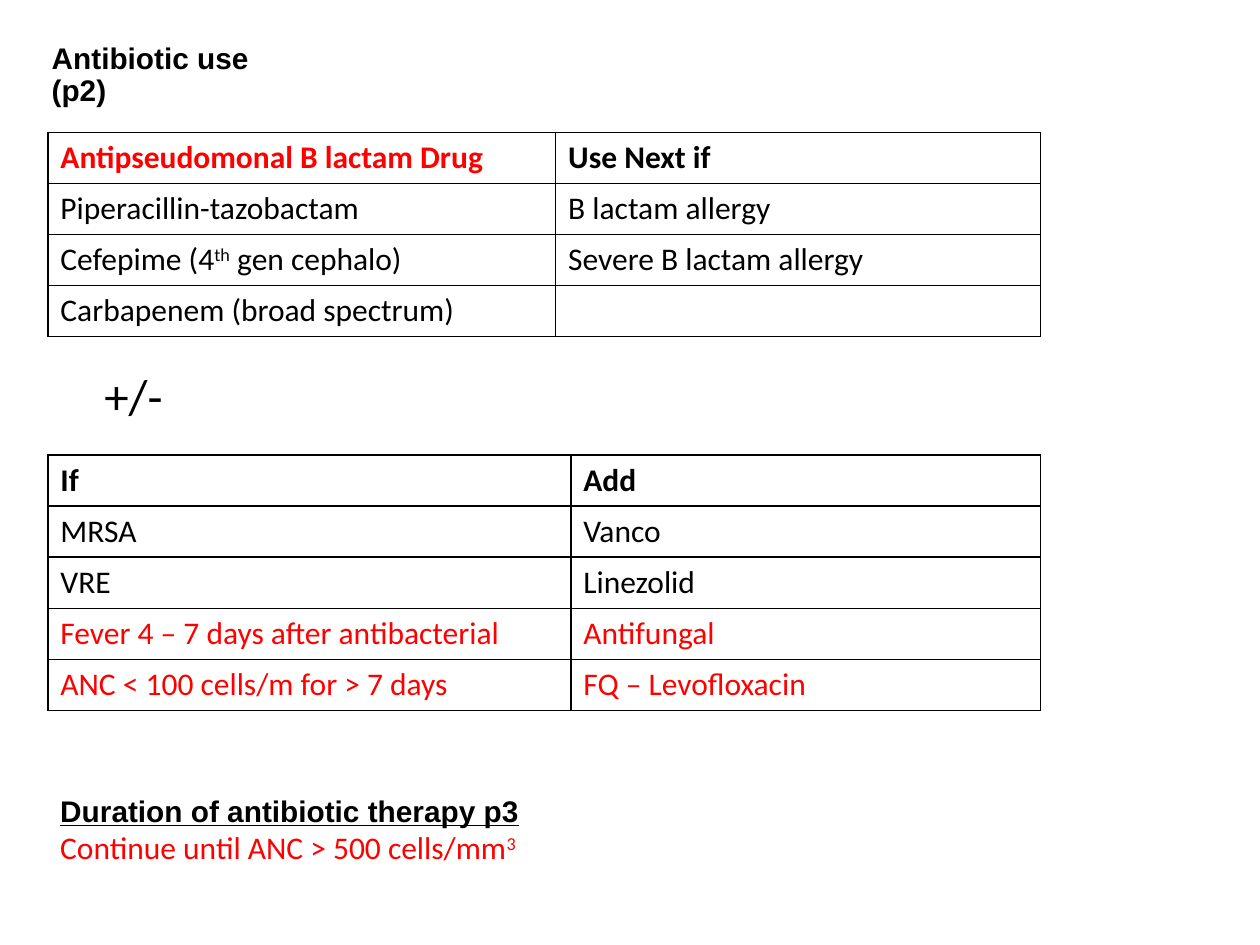
"""Build the antibiotic use slide with its two drug tables."""
from dataclasses import dataclass

from lxml import etree
from pptx import Presentation
from pptx import util as u
from pptx.dml.color import RGBColor
from pptx.enum import text
from pptx.oxml.ns import qn


@dataclass(frozen=True)
class Theme:
    black: str = "000000"
    red: str = "FF0000"
    heading_font: str = "Arial"
    body_font: str = "Calibri"
    heading_size: int = 17
    body_size: int = 18
    sign_size: int = 28
    border_width: int = 1


THEME = Theme()
BODY = dict(font=THEME.body_font, size=THEME.body_size)
HEADING = dict(font=THEME.heading_font, size=THEME.heading_size, bold=True)
SIGN = dict(font=THEME.body_font, size=THEME.sign_size)
RED = dict(color=THEME.red)

TABLES = [
    dict(
        top=1.05, height=1.62, columns=(4.03, 3.85), red_cells={(0, 0)},
        rows=[
            ("Antipseudomonal B lactam Drug", "Use Next if"),
            ("Piperacillin-tazobactam", "B lactam allergy"),
            ("Cefepime (4^th^ gen cephalo)", "Severe B lactam allergy"),
            ("Carbapenem (broad spectrum)", ""),
        ],
    ),
    dict(
        top=3.61, height=2.03, columns=(4.15, 3.73),
        red_cells={(3, 0), (3, 1), (4, 0), (4, 1)},
        rows=[
            ("If", "Add"),
            ("MRSA", "Vanco"),
            ("VRE", "Linezolid"),
            ("Fever 4 – 7 days after antibacterial", "Antifungal"),
            ("ANC < 100 cells/m for > 7 days", "FQ – Levofloxacin"),
        ],
    ),
]
TABLE_LEFT = 0.38

TEXTS = [
    dict(box=(0.73, 2.85, 0.67, 0.57), paragraphs=[("+/-", SIGN)]),
    dict(
        box=(0.38, 6.24, 3.87, 0.71),
        paragraphs=[
            ("Duration of antibiotic therapy p3", HEADING | dict(underline=True)),
            ("Continue until ANC > 500 cells/mm^3^", BODY | RED),
        ],
    ),
    dict(
        box=(-0.19, 0.3, 2.28, 0.36), wrap=True, margin=0.6, spacing=0.9,
        paragraphs=[("Antibiotic use (p2)", HEADING)],
    ),
]


def write(paragraph, content, font, size, color=THEME.black, bold=False, underline=False):
    """Fill a paragraph; parts between carets are superscript."""
    paragraph.font.name = font
    paragraph.font.size = u.Pt(size)
    paragraph.font.bold = bold
    paragraph.font.underline = underline
    paragraph.font.color.rgb = RGBColor.from_string(color)
    for index, part in enumerate(content.split("^")):
        if part:
            run = paragraph.add_run()
            run.text = part
            if index % 2:
                run.font._element.set("baseline", "30000")


def add_borders(cell):
    """Draw a solid line on all four sides of a cell."""
    properties = cell._tc.get_or_add_tcPr()
    for position, side in enumerate(("lnL", "lnR", "lnT", "lnB")):
        line = etree.Element(qn(f"a:{side}"), w=str(u.Pt(THEME.border_width)))
        fill = etree.SubElement(line, qn("a:solidFill"))
        etree.SubElement(fill, qn("a:srgbClr"), val=THEME.black)
        properties.insert(position, line)


def add_drug_table(slide, top, height, columns, red_cells, rows):
    """Add a bordered table with a bold first row."""
    table = slide.shapes.add_table(
        len(rows), len(columns), u.Inches(TABLE_LEFT), u.Inches(top),
        u.Inches(sum(columns)), u.Inches(height),
    ).table
    for column, width in zip(table.columns, columns):
        column.width = u.Inches(width)
    for row_index, row in enumerate(rows):
        for column_index, content in enumerate(row):
            cell = table.cell(row_index, column_index)
            cell.fill.background()
            add_borders(cell)
            color = RED if (row_index, column_index) in red_cells else {}
            write(cell.text_frame.paragraphs[0], content, bold=row_index == 0, **BODY, **color)


def add_text(slide, box, paragraphs, wrap=False, margin=0.1, spacing=None):
    """Add a text box with one style for each paragraph."""
    frame = slide.shapes.add_textbox(*map(u.Inches, box)).text_frame
    frame.word_wrap = wrap
    frame.auto_size = text.MSO_AUTO_SIZE.SHAPE_TO_FIT_TEXT
    frame.margin_left = u.Inches(margin)
    for index, (content, style) in enumerate(paragraphs):
        paragraph = frame.add_paragraph() if index else frame.paragraphs[0]
        paragraph.line_spacing = spacing
        write(paragraph, content, **style)


presentation = Presentation()
presentation.slide_width = u.Inches(10)
presentation.slide_height = u.Inches(7.5)
slide = presentation.slides.add_slide(presentation.slide_layouts[6])
for table in TABLES:
    add_drug_table(slide, **table)
for item in TEXTS:
    add_text(slide, **item)
presentation.save("out.pptx")
